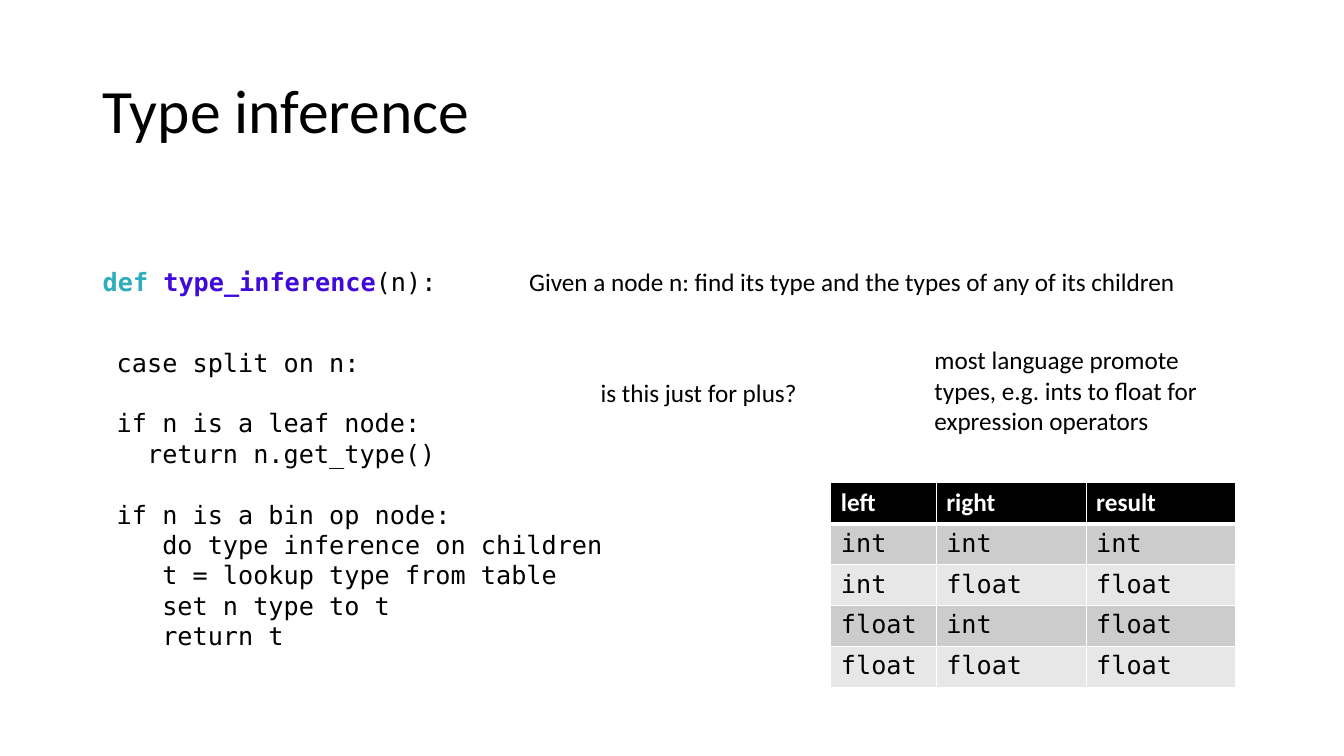
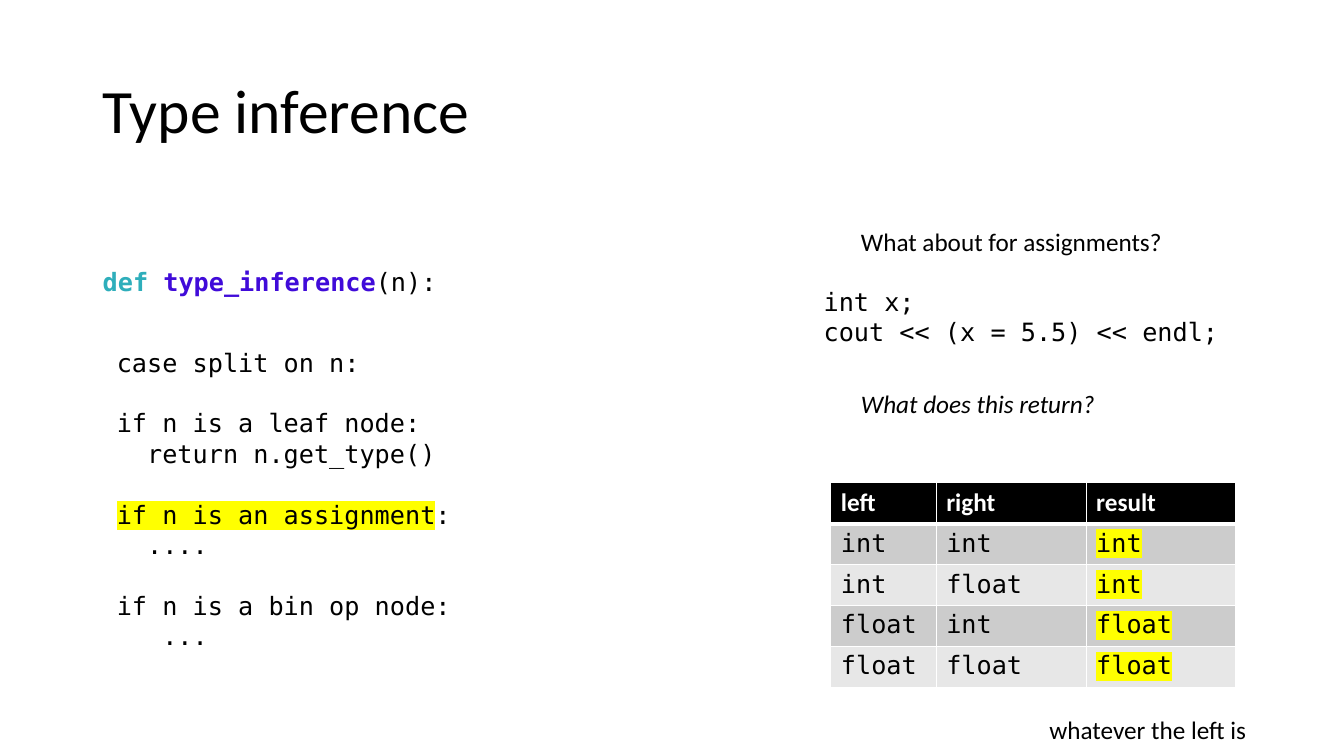
import dataclasses

import lxml.etree
import pptx
import pptx.dml.color
import pptx.enum.text
import pptx.oxml.ns
import pptx.util

Inches = pptx.util.Inches
Pt = pptx.util.Pt


@dataclasses.dataclass(frozen=True)
class Theme:
    ink: str = "000000"
    paper: str = "FFFFFF"
    keyword: str = "2EAEBB"
    function: str = "400BD9"
    marker: str = "FFFF00"
    bands: tuple = ("CCCCCC", "E7E7E7")
    prose: str = "Calibri"
    code: str = "DejaVu Sans Mono"
    title_size: int = 44
    body_size: int = 18
    code_pitch: float = 21.7


THEME = Theme()
TITLE_BOX = (0.92, 0.4, 11.5, 1.45)
SIGNATURE_BOX = (0.92, 2.59, 3.56, 0.4)
RULES_BOX = (8.24, 4.79, 4.02, 2.03)
COLUMN_SHARES = (0.26, 0.37, 0.37)
RULES_HEADER = ("left", "right", "result")
OPERANDS = (("int", "int"), ("int", "float"), ("float", "int"), ("float", "float"))


def rgb(value):
    return pptx.dml.color.RGBColor.from_string(value)


def add_element(parent, tag, **attributes):
    element = lxml.etree.SubElement(parent, pptx.oxml.ns.qn(tag))
    for name, value in attributes.items():
        element.set(name, str(value))
    return element


def add_run(paragraph, text, font=THEME.prose, size=THEME.body_size,
            color=THEME.ink, bold=False, italic=False, highlight=None):
    run = paragraph.add_run()
    run.text = text
    run.font.size = Pt(size)
    run.font.bold = bold
    run.font.italic = italic
    run.font.color.rgb = rgb(color)
    if highlight:
        # The highlight has to stand between the fill and the typeface.
        marker = add_element(run.font._element, "a:highlight")
        add_element(marker, "a:srgbClr", val=highlight)
    run.font.name = font


def add_text(slide, box, lines, anchor=pptx.enum.text.MSO_ANCHOR.TOP,
             line_spacing=None, **style):
    """Place lines of (text, style) spans; an empty line becomes a gap above the next."""
    frame = slide.shapes.add_textbox(*map(Inches, box)).text_frame
    frame.word_wrap = False
    frame.vertical_anchor = anchor
    paragraph, gap = frame.paragraphs[0], 0
    for index, line in enumerate(lines):
        if not line:
            gap += THEME.code_pitch
            continue
        if index:
            paragraph = frame.add_paragraph()
            paragraph.space_before = Pt(gap)
        gap = 0
        paragraph.alignment = pptx.enum.text.PP_ALIGN.LEFT
        if line_spacing:
            paragraph.line_spacing = line_spacing
        spans = [(line, {})] if isinstance(line, str) else line
        for text, extra in spans:
            add_run(paragraph, text, **{**style, **extra})


def add_code(slide, box, lines):
    add_text(slide, box, lines, font=THEME.code, line_spacing=Pt(THEME.code_pitch))


def add_cell(cell, text, fill, top=1, bottom=1, **style):
    properties = cell._tc.get_or_add_tcPr()
    for side, width in (("L", 1), ("R", 1), ("T", top), ("B", bottom)):
        border = add_element(properties, f"a:ln{side}", w=Pt(width))
        add_element(add_element(border, "a:solidFill"), "a:srgbClr", val=THEME.paper)
    cell.fill.solid()
    cell.fill.fore_color.rgb = rgb(fill)
    add_run(cell.text_frame.paragraphs[0], text, **style)


def add_type_rules(slide, box, results, highlight=None):
    """Table of operand types and the type that each pair gives."""
    left, top, width, height = box
    row_count = len(OPERANDS) + 1
    table = slide.shapes.add_table(
        row_count, len(RULES_HEADER), *map(Inches, box)).table
    for column, share in zip(table.columns, COLUMN_SHARES):
        column.width = Inches(width * share)
    for row in table.rows:
        row.height = Inches(height / row_count)
    for column, heading in enumerate(RULES_HEADER):
        add_cell(table.cell(0, column), heading, THEME.ink, bottom=3,
                 color=THEME.paper, bold=True)
    for row, (operands, result) in enumerate(zip(OPERANDS, results), start=1):
        for column, type_name in enumerate((*operands, result)):
            is_result = column == len(operands)
            add_cell(table.cell(row, column), type_name,
                     THEME.bands[(row - 1) % 2], top=3 if row == 1 else 1,
                     font=THEME.code, highlight=highlight if is_result else None)


def add_inference_slide(deck, body_box, body, results, highlight=None):
    """Start a slide with the title, function code and type rules."""
    slide = deck.slides.add_slide(deck.slide_layouts[6])
    add_text(slide, TITLE_BOX, ["Type inference"], size=THEME.title_size,
             anchor=pptx.enum.text.MSO_ANCHOR.MIDDLE, line_spacing=0.9)
    add_code(slide, SIGNATURE_BOX, [[
        ("def ", {"color": THEME.keyword, "bold": True}),
        ("type_inference", {"color": THEME.function, "bold": True}),
        ("(n):", {}),
    ]])
    leaf_case = ["case split on n:", "",
                 "if n is a leaf node:", "  return n.get_type()", ""]
    add_code(slide, body_box, leaf_case + body)
    add_type_rules(slide, RULES_BOX, results, highlight)
    return slide


def add_operator_slide(deck):
    slide = add_inference_slide(
        deck, (1.06, 3.39, 5.03, 3.13),
        ["if n is a bin op node:",
         "   do type inference on children",
         "   t = lookup type from table",
         "   set n type to t",
         "   return t"],
        ("int", "float", "float", "float"))
    add_text(slide, (5.15, 2.59, 6.69, 0.4),
             ["Given a node n: find its type and the types of any of its children"])
    add_text(slide, (5.86, 3.69, 2.17, 0.4), ["is this just for plus?"])
    add_text(slide, (9.17, 3.37, 2.83, 1.01),
             ["most language promote", "types, e.g. ints to float for",
              "expression operators"])


def add_assignment_slide(deck):
    slide = add_inference_slide(
        deck, (1.06, 3.39, 3.52, 3.13),
        [[("if n is an assignment", {"highlight": THEME.marker}), (":", {})],
         "  ....", "",
         "if n is a bin op node:",
         "   ..."],
        ("int", "int", "float", "float"), highlight=THEME.marker)
    add_text(slide, (8.44, 2.2, 3.22, 0.4), ["What about for assignments?"])
    add_code(slide, (8.07, 2.79, 4.12, 0.71),
             ["int x;", "cout << (x = 5.5) << endl;"])
    add_text(slide, (8.44, 3.8, 2.57, 0.4), ["What does this return?"], italic=True)
    add_text(slide, (10.31, 7.04, 2.18, 0.4), ["whatever the left is"])


def main():
    deck = pptx.Presentation()
    deck.slide_width, deck.slide_height = Inches(13.33), Inches(7.5)
    add_operator_slide(deck)
    add_assignment_slide(deck)
    deck.save("out.pptx")


if __name__ == "__main__":
    main()
